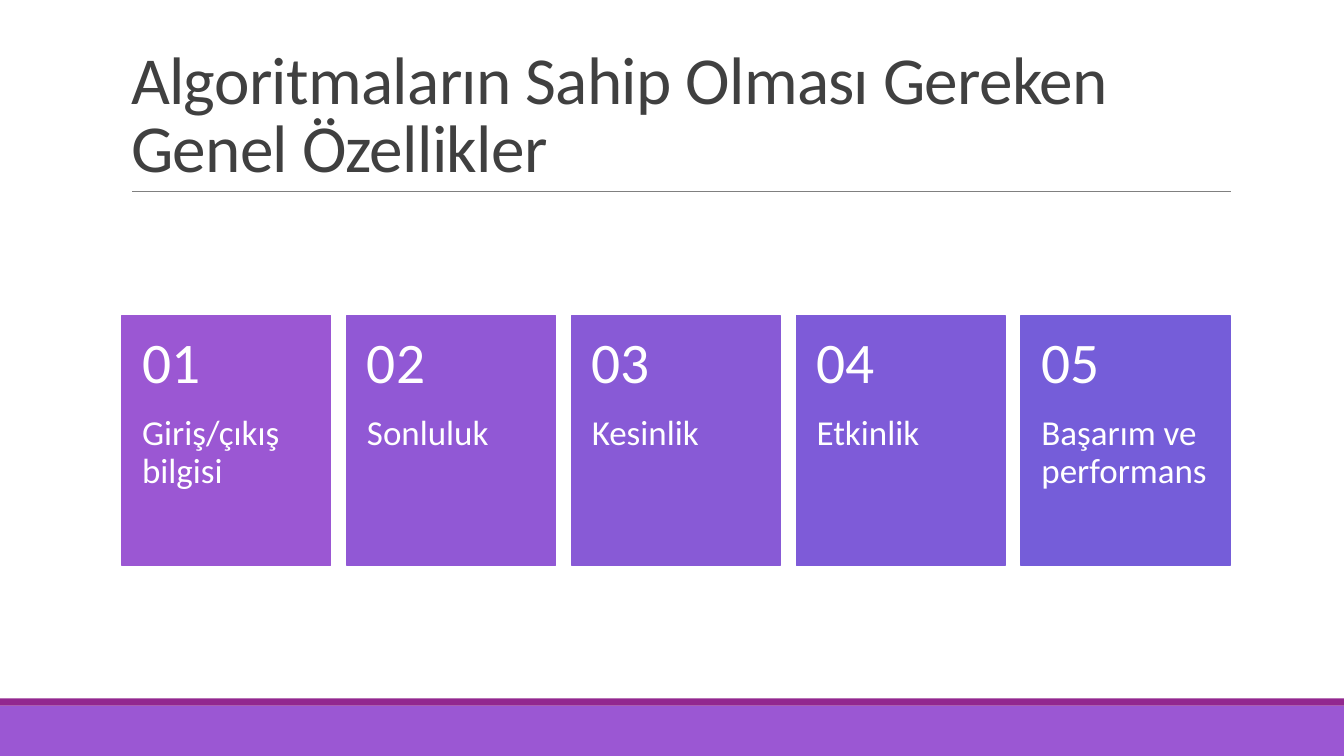
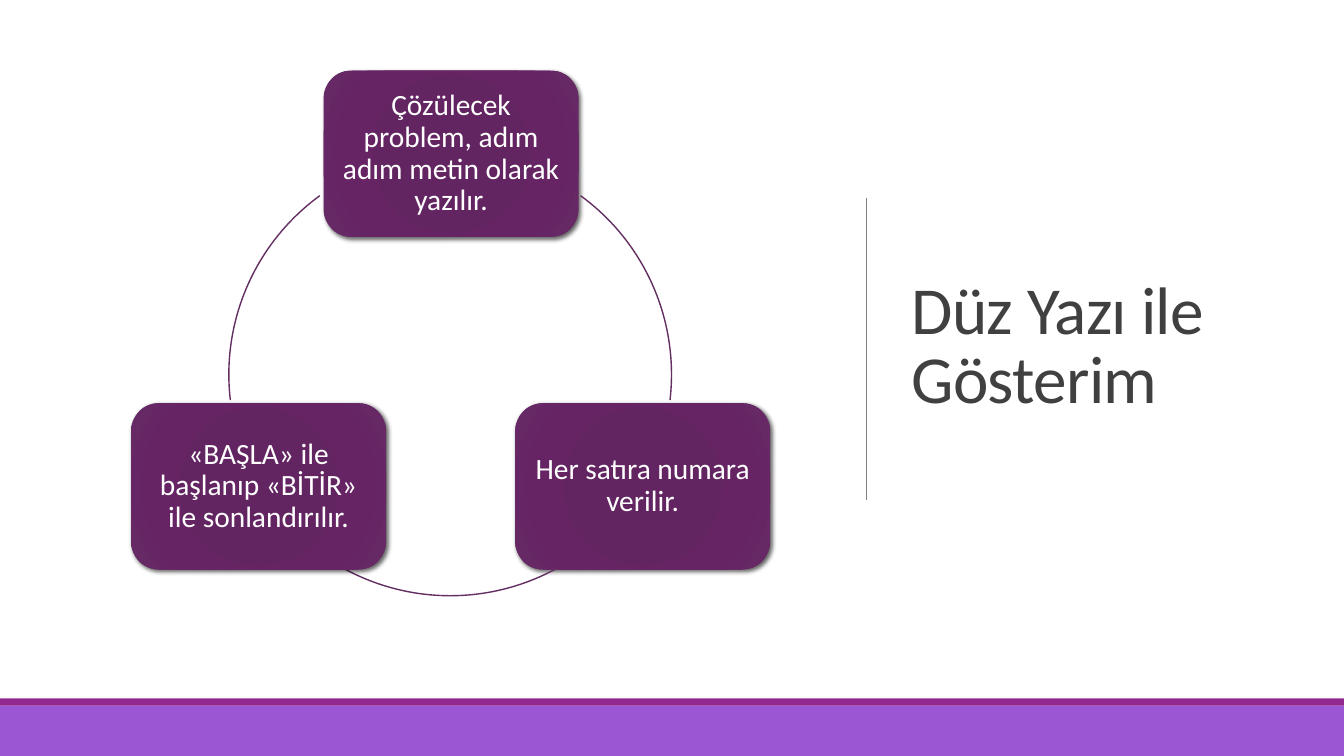
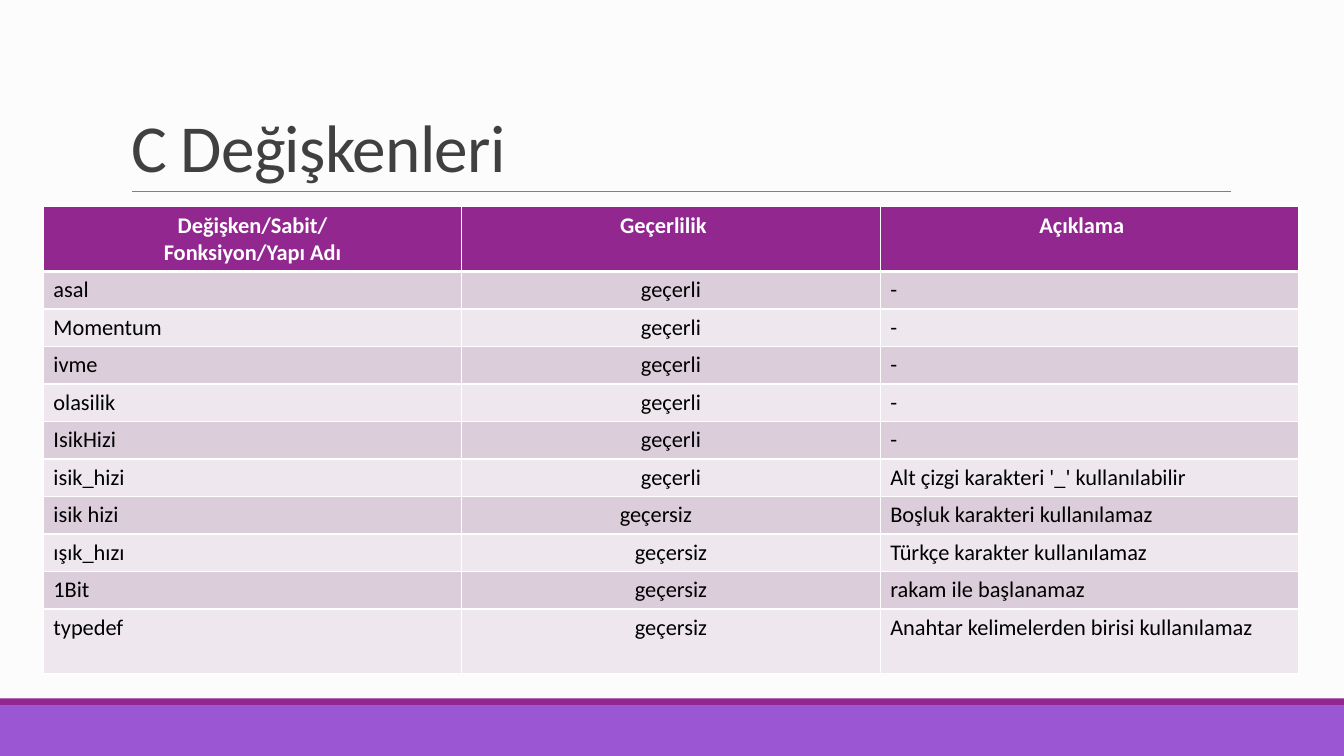
from dataclasses import dataclass

from pptx import Presentation
from pptx.dml.color import RGBColor
from pptx.enum.shapes import MSO_CONNECTOR as Connector, MSO_SHAPE as Preset
from pptx.enum.text import MSO_ANCHOR as Anchor, MSO_AUTO_SIZE as AutoSize, PP_ALIGN as Align
from pptx.oxml import parse_xml
from pptx.oxml.ns import nsdecls, qn
from pptx.util import Inches, Pt


@dataclass(frozen=True)
class Theme:
    # Colours
    white: str = "FFFFFF"
    pale: str = "FCFCFC"
    text: str = "000000"
    title: str = "404040"
    rule: str = "808080"
    purple: str = "9B57D3"
    plum: str = "92278F"
    arc: str = "632E62"
    cards: tuple = ("9B57D3", "9158D5", "885AD6", "7E5BD8", "755DD9")
    box_stops: tuple = ((0, "642362"), (34, "632562"), (70, "662465"), (100, "662B65"))
    stripes: tuple = ("DCCDDB", "EEE8EE")
    # Type
    font: str = "Calibri"
    title_size: int = 48
    number_size: int = 41
    label_size: int = 25
    box_size: int = 21
    table_size: int = 16


THEME = Theme()

PROPERTIES = [
    "Giriş/çıkış bilgisi", "Sonluluk", "Kesinlik", "Etkinlik", "Başarım ve performans",
]

# Left, top and text of each box in the cycle
CYCLE_BOXES = [
    (3.21, 0.7, "Çözülecek problem, adım adım metin olarak yazılır."),
    (5.11, 4, "Her satıra numara verilir."),
    (1.3, 4, "«BAŞLA» ile başlanıp «BİTİR» ile sonlandırılır."),
]
# Start and end angle of each arc, clockwise from the right
CYCLE_ARCS = [(306.1, 6.65), (61.4, 118.6), (173.35, 233.9)]

VARIABLES = [
    ("Değişken/Sabit/\nFonksiyon/Yapı Adı", "Geçerlilik", "Açıklama"),
    ("asal", "geçerli", "-"),
    ("Momentum", "geçerli", "-"),
    ("ivme", "geçerli", "-"),
    ("olasilik", "geçerli", "-"),
    ("IsikHizi", "geçerli", "-"),
    ("isik_hizi", "geçerli", "Alt çizgi karakteri '_' kullanılabilir"),
    ("isik hizi", "geçersiz", "Boşluk karakteri kullanılamaz"),
    ("ışık_hızı", "geçersiz", "Türkçe karakter kullanılamaz"),
    ("1Bit", "geçersiz", "rakam ile başlanamaz"),
    ("typedef", "geçersiz", "Anahtar kelimelerden birisi kullanılamaz"),
]
# Right margin of the cells whose centred text sits left of the middle
WIDE_MARGINS = {(0, 1): 0.25, (0, 2): 0.25, (7, 1): 0.4}


# Formatting helpers
def rgb(value):
    return RGBColor.from_string(value)


def set_values(target, values):
    for name, value in values.items():
        setattr(target, name, value)


def write_text(frame, text, size, color, align=Align.LEFT, spacing=0.9, bold=False):
    frame.text = text
    for paragraph in frame.paragraphs:
        set_values(paragraph, {"alignment": align, "line_spacing": spacing})
        for run in paragraph.runs:
            set_values(run.font, {"name": THEME.font, "size": Pt(size), "bold": bold})
            run.font.color.rgb = rgb(color)


def set_frame(frame, anchor, insets):
    left, top, right, bottom = map(Inches, insets)
    set_values(frame, {
        "word_wrap": True, "auto_size": AutoSize.NONE, "vertical_anchor": anchor,
        "margin_left": left, "margin_top": top, "margin_right": right, "margin_bottom": bottom,
    })


# Elements
def add_preset(slide, preset, at, fill=None, line=None, width=1.0):
    shape = slide.shapes.add_shape(preset, *map(Inches, at))
    shape.shadow.inherit = False
    if fill:
        shape.fill.solid()
        shape.fill.fore_color.rgb = rgb(fill)
    else:
        shape.fill.background()
    if line:
        shape.line.color.rgb = rgb(line)
        shape.line.width = Pt(width)
    else:
        shape.line.fill.background()
    return shape


def add_text(slide, at, text, size, anchor, insets):
    frame = slide.shapes.add_textbox(*map(Inches, at)).text_frame
    set_frame(frame, anchor, insets)
    write_text(frame, text, size, THEME.white)


def add_rule(slide, start, end):
    rule = slide.shapes.add_connector(Connector.STRAIGHT, *map(Inches, (*start, *end)))
    rule.line.color.rgb = rgb(THEME.rule)
    rule.line.width = Pt(0.5)
    rule._element.spPr.append(parse_xml(f"<a:effectLst {nsdecls('a')}/>"))


def add_card(slide, index, label):
    left, top, width = 1.21 + index * 2.23, 3.13, 2.07
    color = THEME.cards[index]
    add_preset(slide, Preset.RECTANGLE, (left, top, width, 2.48), color, color, 1.25)
    add_text(slide, (left, top + 0.99, width, 1.49), label, THEME.label_size,
             Anchor.TOP, (0.2, 0, 0.2, 0.36))
    add_text(slide, (left, top, width, 0.99), f"{index + 1:02}", THEME.number_size,
             Anchor.MIDDLE, (0.2, 0.18, 0.2, 0.18))


def add_cycle_box(slide, left, top, text):
    box = add_preset(slide, Preset.ROUNDED_RECTANGLE, (left, top, 2.53, 1.65))
    properties = box._element.spPr
    stops = "".join(
        f'<a:gs pos="{position * 1000}"><a:srgbClr val="{color}"/></a:gs>'
        for position, color in THEME.box_stops
    )
    properties.replace(properties.find(qn("a:noFill")), parse_xml(
        f'<a:gradFill {nsdecls("a")} rotWithShape="1"><a:gsLst>{stops}</a:gsLst>'
        '<a:path path="circle"><a:fillToRect l="100000" t="100000" r="100000" b="100000"/>'
        "</a:path></a:gradFill>"
    ))
    properties.find(qn("a:effectLst")).append(parse_xml(
        f'<a:outerShdw {nsdecls("a")} blurRad="{Pt(3)}" dist="{Pt(2)}" dir="2700000"'
        ' rotWithShape="0"><a:srgbClr val="000000"><a:alpha val="60000"/></a:srgbClr>'
        "</a:outerShdw>"
    ))
    set_frame(box.text_frame, Anchor.MIDDLE, (0.09,) * 4)
    write_text(box.text_frame, text, THEME.box_size, THEME.white, Align.CENTER)


def add_cycle_arc(slide, start, end):
    arc = add_preset(slide, Preset.ARC, (2.27, 1.52, 4.39, 4.39), line=THEME.arc)
    # An angle unit is 1/60000 degree, an adjustment unit 1/100000
    for index, angle in enumerate((start, end)):
        arc.adjustments[index] = angle * 0.6


def set_borders(cell, widths):
    properties = cell._tc.get_or_add_tcPr()
    for side, width in widths.items():
        properties.append(parse_xml(
            f'<a:ln{side} {nsdecls("a")} w="{Pt(width)}"><a:solidFill>'
            f'<a:srgbClr val="{THEME.white}"/></a:solidFill></a:ln{side}>'
        ))


def add_variable_table(slide):
    heights = [0.64] + [0.37] * 9 + [0.64]
    table = slide.shapes.add_table(
        len(VARIABLES), 3, Inches(0.43), Inches(2.05), Inches(12.45), Inches(sum(heights))
    ).table
    table.horz_banding = False
    for column in table.columns:
        column.width = Inches(4.15)
    for row, (height, texts) in enumerate(zip(heights, VARIABLES)):
        table.rows[row].height = Inches(height)
        header = row == 0
        fill = THEME.plum if header else THEME.stripes[(row - 1) % 2]
        for column, text in enumerate(texts):
            cell = table.cell(row, column)
            set_borders(cell, {"L": 1, "R": 1, "T": 3 if row == 1 else 1, "B": 3 if header else 1})
            cell.fill.solid()
            cell.fill.fore_color.rgb = rgb(fill)
            cell.margin_right = Inches(WIDE_MARGINS.get((row, column), 0.1))
            write_text(
                cell.text_frame, text, THEME.table_size,
                THEME.white if header else THEME.text,
                Align.CENTER if header or column == 1 else Align.LEFT, 1.0, header,
            )


# Shared slide frame: background, bands, title and its rule
def add_slide(presentation, title, background=THEME.white, title_at=(1.2, 0.31, 11, 1.59),
              anchor=Anchor.BOTTOM, rule=((1.31, 1.9), (12.21, 1.9))):
    slide = presentation.slides.add_slide(presentation.slide_layouts[5])
    slide.background.fill.solid()
    slide.background.fill.fore_color.rgb = rgb(background)
    add_preset(slide, Preset.RECTANGLE, (0, 7, 13.33, 0.5), THEME.purple)
    add_preset(slide, Preset.RECTANGLE, (0, 6.93, 13.33, 0.07), THEME.plum)
    add_rule(slide, *rule)
    placeholder = slide.shapes.title
    set_values(placeholder, dict(zip(("left", "top", "width", "height"), map(Inches, title_at))))
    set_frame(placeholder.text_frame, anchor, (0.1, 0.05, 0.1, 0.05))
    write_text(placeholder.text_frame, title, THEME.title_size, THEME.title, spacing=0.85)
    for run in placeholder.text_frame.paragraphs[0].runs:
        run.font._element.set("spc", "-50")
    return slide


def main():
    presentation = Presentation()
    set_values(presentation, {"slide_width": Inches(13.33), "slide_height": Inches(7.5)})

    # Numbered cards
    slide = add_slide(presentation, "Algoritmaların Sahip Olması Gereken Genel Özellikler")
    for index, label in enumerate(PROPERTIES):
        add_card(slide, index, label)

    # Cycle
    slide = add_slide(presentation, "Düz Yazı ile Gösterim", title_at=(8.94, 0.69, 3.69, 5.53),
                      anchor=Anchor.MIDDLE, rule=((8.59, 1.96), (8.59, 4.96)))
    for box, arc in zip(CYCLE_BOXES, CYCLE_ARCS):
        add_cycle_box(slide, *box)
        add_cycle_arc(slide, *arc)

    # Table
    slide = add_slide(presentation, "C Değişkenleri", THEME.pale)
    add_variable_table(slide)

    presentation.save("out.pptx")


if __name__ == "__main__":
    main()
